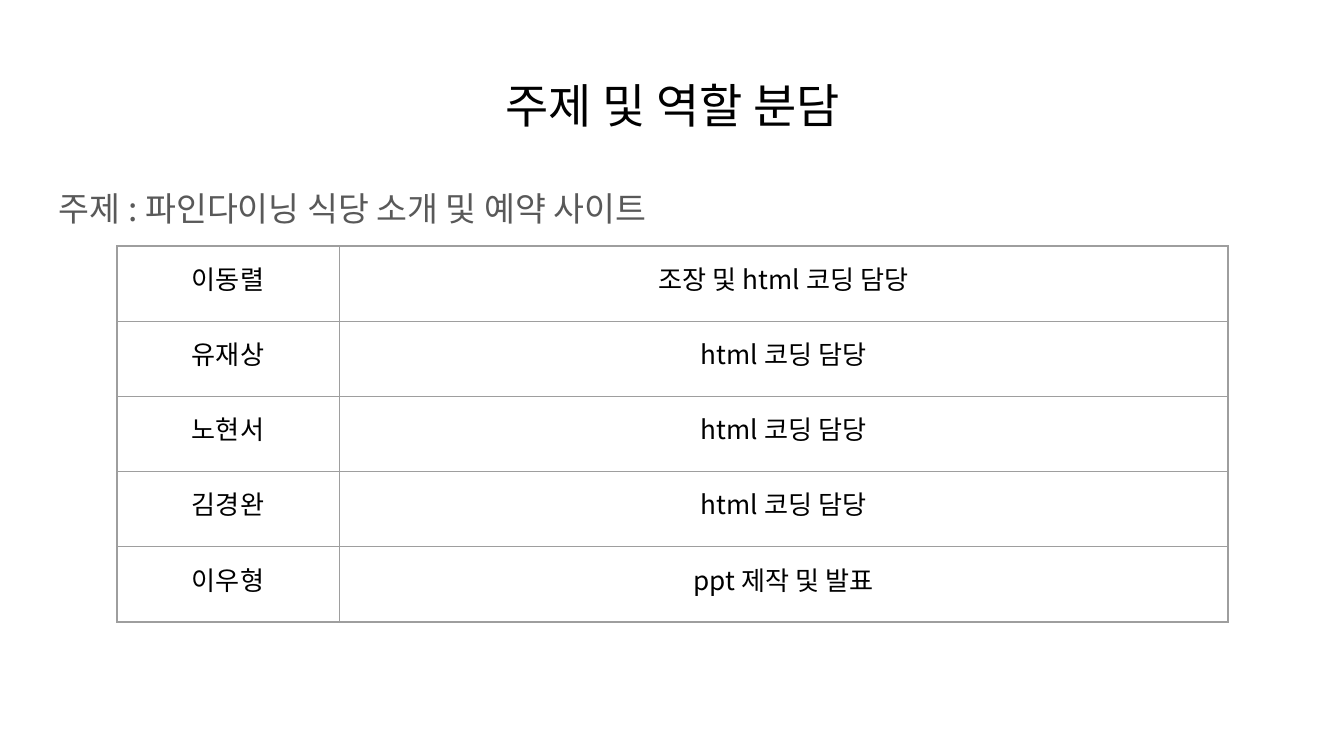
"""Build the topic and roles slide."""
from pptx import Presentation
from pptx.dml.color import RGBColor as Rgb
from pptx.enum.text import MSO_ANCHOR as Anchor, PP_ALIGN as Align
from pptx.oxml.ns import qn
from pptx.util import Pt
from lxml.etree import SubElement as Sub

TITLE = "주제 및 역할 분담"
TOPIC = "주제 : 파인다이닝 식당 소개 및 예약 사이트"
ROLES = [
    ("이동렬", "조장 및 html 코딩 담당"),
    ("유재상", "html 코딩 담당"),
    ("노현서", "html 코딩 담당"),
    ("김경완", "html 코딩 담당"),
    ("이우형", "ppt 제작 및 발표"),
]
COLORS = {"ink": "000000", "gray": "595959", "line": "9E9E9E"}
FONT = "Noto Sans CJK KR"
SLIDE = (1344, 756)
HEAD = (46, 66, 1253, 85)
BODY = (46, 169, 1253, 503)
GRID = (117, 246, 1111, 376)
COLS = 5
PAD = 13


def px(n):
    return round(n * 914400 / 134.4)


def style(para, size, color, align):
    para.alignment = align
    for run in para.runs:
        run.font.size = Pt(size)
        run.font.name = FONT
        run.font.color.rgb = Rgb.from_string(COLORS[color])
        Sub(run.font._element, qn("a:ea"), typeface=FONT)


def pad(item):
    item.margin_left = item.margin_right = px(PAD)
    item.margin_top = item.margin_bottom = px(PAD)


def border(cell):
    props = cell._tc.get_or_add_tcPr()
    for i, side in enumerate(("lnL", "lnR", "lnT", "lnB")):
        line = props.makeelement(qn(f"a:{side}"), {"w": str(Pt(0.75))})
        fill = Sub(line, qn("a:solidFill"))
        Sub(fill, qn("a:srgbClr"), val=COLORS["line"])
        props.insert(i, line)


def add_title(slide):
    head = slide.shapes.title
    head.left, head.top, head.width, head.height = map(px, HEAD)
    frame = head.text_frame
    frame.text = TITLE
    frame.vertical_anchor = Anchor.MIDDLE
    pad(frame)
    para = frame.paragraphs[0]
    para.line_spacing = 0.9
    style(para, 25.2, "ink", Align.CENTER)


def add_topic(slide):
    frame = slide.shapes.add_textbox(*map(px, BODY)).text_frame
    frame.word_wrap = True
    frame.text = TOPIC
    pad(frame)
    para = frame.paragraphs[0]
    para.line_spacing = 1.15
    para.space_after = Pt(12)
    style(para, 18, "gray", Align.LEFT)


def add_roles(slide):
    table = slide.shapes.add_table(len(ROLES), COLS, *map(px, GRID)).table
    table.first_row = table.horz_banding = False
    for cell in table.iter_cells():
        cell.fill.background()
        border(cell)
        pad(cell)
    for r, texts in enumerate(ROLES):
        table.cell(r, 1).merge(table.cell(r, COLS - 1))
        for c, text in enumerate(texts):
            frame = table.cell(r, c).text_frame
            frame.text = text
            style(frame.paragraphs[0], 14, "ink", Align.CENTER)


def main():
    deck = Presentation()
    deck.slide_width, deck.slide_height = map(px, SLIDE)
    slide = deck.slides.add_slide(deck.slide_layouts[5])
    add_title(slide)
    add_topic(slide)
    add_roles(slide)
    deck.save("out.pptx")


if __name__ == "__main__":
    main()
